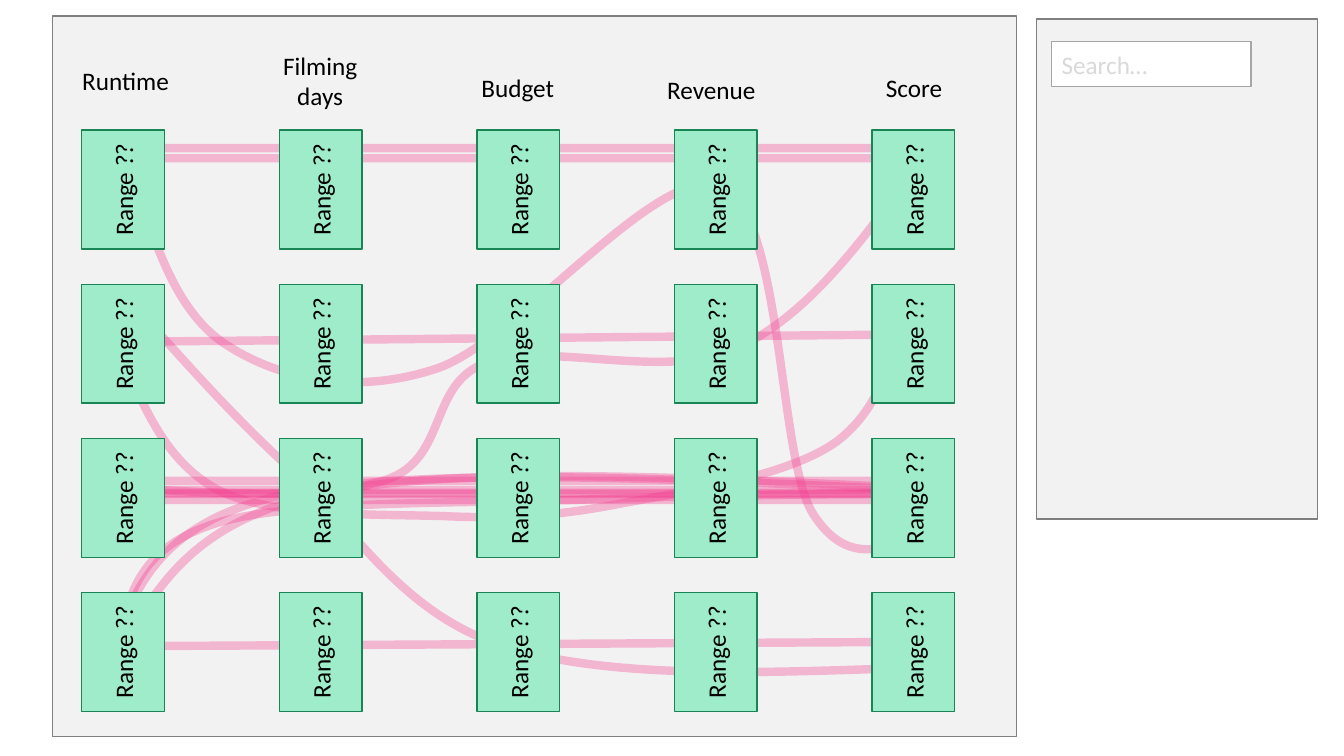
"""Build a parallel-sets sketch of film data with a search panel."""
from lxml.etree import SubElement
from pptx import Presentation
from pptx.dml.color import RGBColor
from pptx.enum.shapes import MSO_CONNECTOR, MSO_SHAPE
from pptx.enum.text import MSO_ANCHOR, PP_ALIGN
from pptx.oxml.ns import qn
from pptx.util import Inches, Pt

COLORS = {"panel": "F2F2F2", "edge": "7F7F7F", "white": "FFFFFF", "rim": "A6A6A6",
          "hint": "D9D9D9", "text": "000000", "link": "F43C8F",
          "node": "9EECC9", "frame": "1A8554"}
STEPS = 40


def add_box(shapes, spot, fill, line):
    box = shapes.add_shape(MSO_SHAPE.RECTANGLE, *map(Inches, spot))
    box.shadow.inherit = False
    box.fill.solid()
    box.fill.fore_color.rgb = RGBColor.from_string(COLORS[fill])
    box.line.color.rgb = RGBColor.from_string(COLORS[line])
    box.line.width = Pt(1)
    return box


def set_text(shape, text, color="text", align=PP_ALIGN.CENTER):
    frame = shape.text_frame
    frame.word_wrap = True
    para = frame.paragraphs[0]
    para.text = text
    para.alignment = align
    para.font.name = "Calibri"
    para.font.size = Pt(18)
    para.font.color.rgb = RGBColor.from_string(COLORS[color])
    return frame


deck = Presentation()
deck.slide_width, deck.slide_height = Inches(13.33), Inches(7.5)
slide = deck.slides.add_slide(deck.slide_layouts[6])
shapes = slide.shapes

add_box(shapes, (0.52, 0.16, 9.56, 7.15), "panel", "edge")
add_box(shapes, (10.28, 0.19, 2.79, 4.96), "panel", "edge")
search = add_box(shapes, (10.43, 0.41, 1.98, 0.45), "white", "rim")
set_text(search, "Search…", "hint", PP_ALIGN.LEFT).vertical_anchor = MSO_ANCHOR.MIDDLE

links = [
    ("line", [(1.3, 1.47), (8.95, 1.47)]),
    ("bent", [(1.32, 1.57), (8.91, 1.57), (8.91, 1.57)]),
    ("curve", [(1.33, 1.76), (1.54, 2.44), (1.76, 3.12), (2.26, 3.43), (2.76, 3.75),
               (3.5, 3.93), (4.32, 3.66), (5.13, 3.4), (6.52, 1.61), (7.14, 1.85),
               (7.77, 2.08), (7.71, 4.52), (8.06, 5.09), (8.41, 5.65), (8.83, 5.44),
               (9.26, 5.23)]),
    ("curve", [(1.21, 3.52), (1.43, 4.06), (1.66, 4.6), (2.18, 4.87), (2.71, 5.13),
               (3.71, 5.1), (4.38, 5.12), (5.04, 5.15), (5.54, 5.12), (6.19, 4.99),
               (6.85, 4.87), (7.83, 4.72), (8.3, 4.38), (8.76, 4.03), (8.87, 3.49),
               (8.97, 2.94)]),
    ("curve", [(1.18, 6.37), (1.28, 5.89), (1.38, 5.42), (2.18, 5.18), (2.98, 4.95),
               (4.79, 5), (5.97, 4.95), (7.15, 4.91), (8.22, 4.9), (9.28, 4.9)]),
    ("curve", [(1.09, 4.83), (2.15, 4.9), (3.21, 4.96), (3.83, 4.76), (4.45, 4.55),
               (4.24, 3.81), (4.82, 3.6), (5.4, 3.38), (6.59, 3.78), (7.3, 3.46),
               (8, 3.14), (8.53, 2.42), (9.06, 1.69)]),
    ("line", [(1.3, 3.39), (8.82, 3.32)]),
    ("curve", [(1.43, 3.14), (1.88, 3.64), (2.32, 4.14), (2.91, 4.68), (3.5, 5.23),
               (3.98, 6.08), (4.97, 6.4), (5.97, 6.73), (7.43, 6.68), (8.88, 6.63)]),
    ("bent", [(1.33, 6.41), (8.77, 6.37), (8.77, 6.37), (9.1, 6.38)]),
    ("curve", [(1.23, 6.38), (1.6, 5.76), (1.97, 5.14), (3.27, 4.88), (4.57, 4.63),
               (6.79, 4.73), (9.01, 4.84)]),
    ("curve", [(1.13, 6.38), (1.38, 5.77), (1.62, 5.15), (2.9, 4.89), (4.19, 4.64),
               (6.51, 4.74), (8.83, 4.85)]),
]
links += [("line", [(left, y), (left + 7.66, y)]) for left, y in
          [(1.13, 4.96), (1.15, 4.77), (1.17, 4.86), (1.3, 4.9), (1.18, 4.89)]]

for kind, link in links:
    points = [(Inches(x), Inches(y)) for x, y in link]
    if kind == "line":
        track = shapes.add_connector(MSO_CONNECTOR.STRAIGHT, *points[0], *points[1])
    elif kind == "bent":
        pen = shapes.build_freeform(*points[0])
        pen.add_line_segments(points[1:], close=False)
        track = pen.convert_to_shape()
    else:
        dots = []
        for first in range(0, len(points) - 1, 3):
            knots = points[first:first + 4]
            for step in range(STEPS + 1):
                t = step / STEPS
                parts = ((1 - t) ** 3, 3 * t * (1 - t) ** 2, 3 * t ** 2 * (1 - t), t ** 3)
                dots.append([round(sum(p * k[axis] for p, k in zip(parts, knots)))
                             for axis in (0, 1)])
        low, high = ([pick(side) for side in zip(*dots)] for pick in (min, max))
        pen = shapes.build_freeform(*low)
        pen.add_line_segments([high], close=False)
        track = pen.convert_to_shape()
        route = track._element.spPr.find(".//" + qn("a:path"))
        for child in list(route):
            route.remove(child)
        for count, (x, y) in enumerate(points):
            if count == 0:
                move = SubElement(route, qn("a:moveTo"))
            elif count % 3 == 1:
                move = SubElement(route, qn("a:cubicBezTo"))
            SubElement(move, qn("a:pt"), x=str(x - low[0]), y=str(y - low[1]))
    if kind != "line":
        track.fill.background()
    track.line.color.rgb = RGBColor.from_string(COLORS["link"])
    track.line.width = Pt(6)
    props = track._element.spPr
    SubElement(props.find(".//" + qn("a:srgbClr")), qn("a:alpha"), val="33000")
    SubElement(props, qn("a:effectLst"))

heads = [("Runtime", 0.62, 0.6, 1.25, 0.4), ("Filming days", 2.52, 0.45, 1.31, 0.71),
         ("Budget", 4.48, 0.67, 1.31, 0.4), ("Revenue", 6.4, 0.69, 1.31, 0.4),
         ("Score", 8.41, 0.67, 1.31, 0.4)]
for name, *spot in heads:
    set_text(shapes.add_textbox(*map(Inches, spot)), name)

for col in range(len(heads)):
    group = shapes.add_group_shape()
    for row in range(4):
        spot = (0.81 + 1.96 * col, 1.29 + 1.53 * row, 0.82, 1.18)
        node = add_box(group.shapes, spot, "node", "frame")
        set_text(node, "Range ??").vertical_anchor = MSO_ANCHOR.MIDDLE
        node._element.txBody.bodyPr.set("vert", "vert270")

deck.save("out.pptx")
